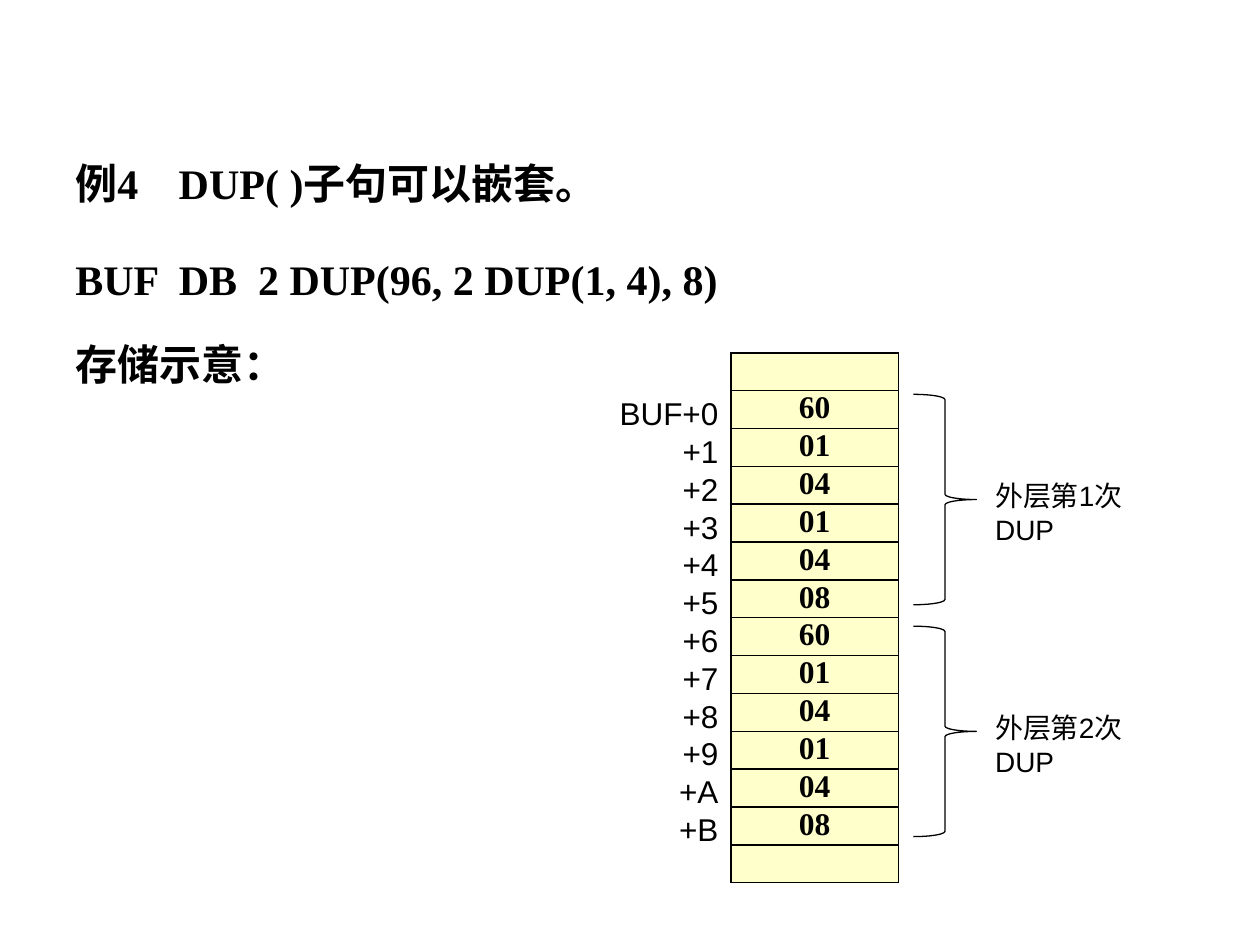
from dataclasses import dataclass

from lxml.etree import SubElement
from pptx import Presentation
from pptx.dml.color import RGBColor
from pptx.enum.shapes import MSO_SHAPE as Shape
from pptx.enum.text import PP_ALIGN as Align
from pptx.oxml.ns import qn
from pptx.util import Inches, Pt

COLORS = {"ink": "000000", "cell": "FFFFCC"}
HAN, SERIF, SANS = "Noto Sans CJK SC", "Times New Roman", "Arial"
ROW = 0.3  # height of one memory byte
LEFT, TOP, WIDE = 5.8, 2.8, 1.33
BYTES = ["60", "01", "04", "01", "04", "08"]
ROUNDS = 2


@dataclass
class Line:
    """A heading line: its (text, font) pieces and the space before it."""
    pieces: list[tuple[str, str]]
    gap: int


@dataclass
class Group:
    """A brace over one outer round, with its label."""
    top: float
    text: str


LINES = [
    Line([("例", HAN), ("4\tDUP( )", SERIF), ("子句可以嵌套。", HAN)], 0),
    Line([("BUF  DB  2 DUP(96, 2 DUP(1, 4), 8)", SERIF)], 12),
    Line([("存储示意：", HAN)], 5),
]
GROUPS = [Group(3.13 + 1.84 * n, f"外层第{n + 1}次DUP") for n in range(ROUNDS)]


def color(name: str) -> RGBColor:
    return RGBColor.from_string(COLORS[name])


def style(run, size: int, face: str, bold: bool = False) -> None:
    font = run.font
    font.size, font.name, font.bold = Pt(size), face, bold
    font.color.rgb = color("ink")
    east = SubElement(run._r.get_or_add_rPr(), qn("a:ea"))
    east.set("typeface", HAN)


def add_box(slide, x: float, y: float, w: float, h: float):
    box = slide.shapes.add_textbox(Inches(x), Inches(y), Inches(w), Inches(h))
    box.text_frame.word_wrap = True
    return box.text_frame


def add_tab(para, x: float) -> None:
    tabs = SubElement(para._p.get_or_add_pPr(), qn("a:tabLst"))
    tab = SubElement(tabs, qn("a:tab"))
    tab.set("pos", str(Inches(x)))
    tab.set("algn", "l")


def add_lines(slide) -> None:
    frame = add_box(slide, 0.5, 1, 7.75, 2.87)
    for n, line in enumerate(LINES):
        para = frame.add_paragraph() if n else frame.paragraphs[0]
        para.alignment, para.line_spacing = Align.JUSTIFY, 1.5
        if line.gap:
            para.space_before = Pt(line.gap)
        else:
            add_tab(para, 0.82)
        for text, face in line.pieces:
            run = para.add_run()
            run.text = text
            style(run, 24, face, True)


def add_edges(cell) -> None:
    props = cell._tc.get_or_add_tcPr()
    for n, side in enumerate(("lnL", "lnR", "lnT", "lnB")):
        edge = props.makeelement(qn(f"a:{side}"), {"w": str(Pt(1))})
        fill = SubElement(edge, qn("a:solidFill"))
        SubElement(fill, qn("a:srgbClr")).set("val", COLORS["ink"])
        props.insert(n, edge)


def add_memory(slide) -> None:
    values = ["", *BYTES * ROUNDS, ""]
    count = len(values)
    table = slide.shapes.add_table(
        count, 1, Inches(LEFT), Inches(TOP), Inches(WIDE), Inches(ROW * count)
    ).table
    table.first_row = table.horz_banding = False
    for n, value in enumerate(values):
        table.rows[n].height = Inches(ROW)
        cell = table.cell(n, 0)
        cell.margin_top = cell.margin_bottom = 0
        cell.fill.solid()
        cell.fill.fore_color.rgb = color("cell")
        add_edges(cell)
        para = cell.text_frame.paragraphs[0]
        para.alignment = Align.CENTER
        if value:
            para.text = value
            style(para.runs[0], 18, SERIF, True)
        else:
            para.font.size = Pt(18)


def add_offsets(slide) -> None:
    count = len(BYTES) * ROUNDS
    frame = add_box(slide, 4.75, 3.08, LEFT - 4.75, ROW * count + 0.1)
    frame.text = "\n".join(
        f"{'' if n else 'BUF'}+{n:X}" for n in range(count)
    )
    for para in frame.paragraphs:
        para.alignment = Align.RIGHT
        para.line_spacing = Pt(72 * ROW)
        style(para.runs[0], 18, SANS)


def add_group(slide, group: Group) -> None:
    brace = slide.shapes.add_shape(
        Shape.RIGHT_BRACE, Inches(7.25), Inches(group.top),
        Inches(0.5), Inches(1.67)
    )
    brace.shadow.inherit = False
    brace.fill.background()
    brace.line.color.rgb = color("ink")
    brace.line.width = Pt(0.75)
    frame = add_box(slide, 7.8, group.top + 0.62, 1.6, 0.6)
    frame.text = group.text
    style(frame.paragraphs[0].runs[0], 16, SANS)


def main() -> None:
    deck = Presentation()
    deck.slide_width, deck.slide_height = Inches(10), Inches(7.5)
    slide = deck.slides.add_slide(deck.slide_layouts[6])
    add_lines(slide)
    add_memory(slide)
    add_offsets(slide)
    for group in GROUPS:
        add_group(slide, group)
    deck.save("out.pptx")


if __name__ == "__main__":
    main()
